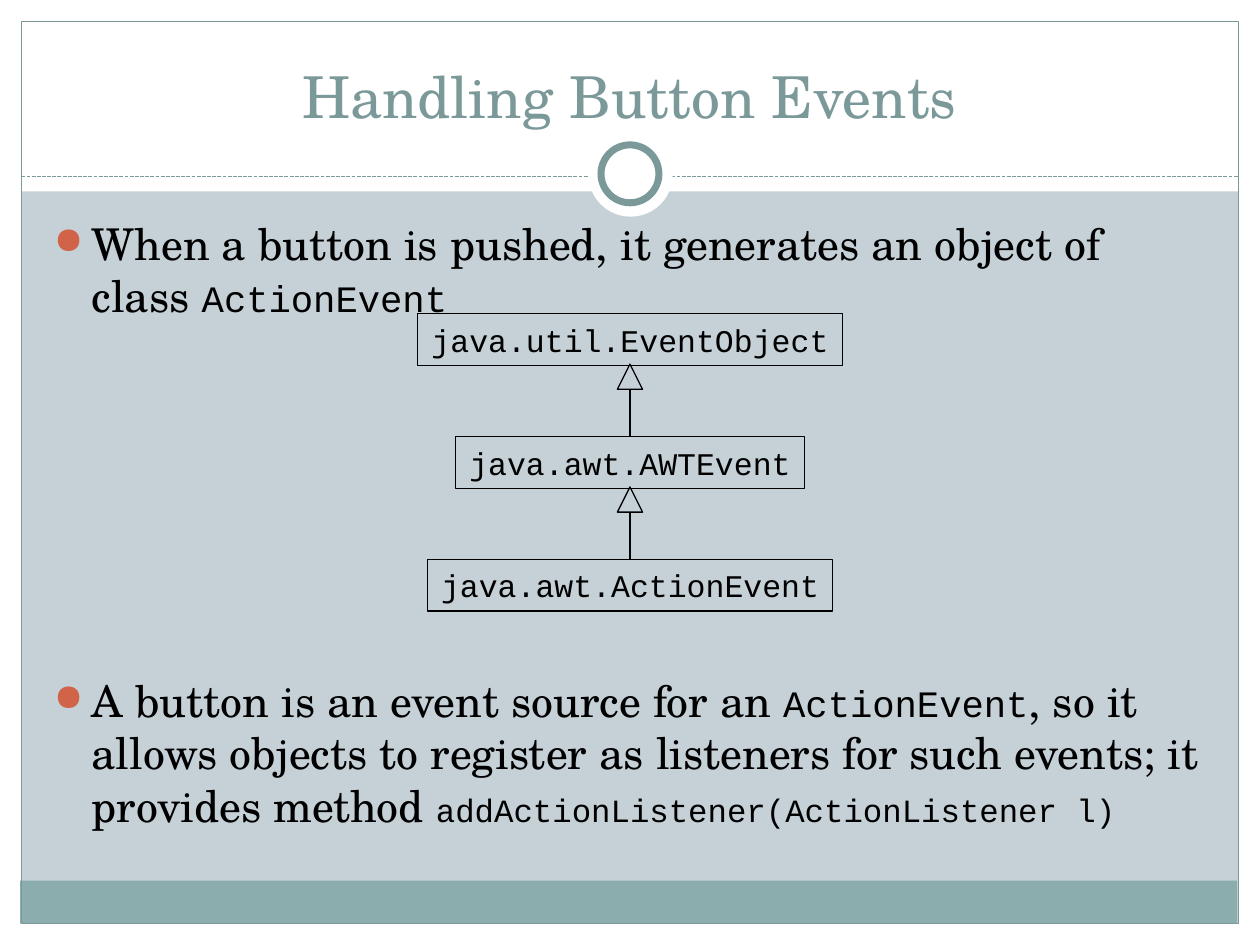
from lxml import etree
from pptx import Presentation
from pptx.dml.color import RGBColor
from pptx.enum import dml, shapes, text
from pptx.oxml.ns import qn
from pptx.util import Inches, Pt

WHITE = RGBColor(0xFF, 0xFF, 0xFF)
BLACK = RGBColor(0, 0, 0)
MIST = RGBColor(0xC5, 0xD1, 0xD7)
TEAL = RGBColor(0x8C, 0xAD, 0xAE)
SLATE = RGBColor(0x7C, 0x99, 0x9A)
RUST = "D16349"
SERIF, MONO = "TeX Gyre Schola", "Courier New"
KIND = shapes.MSO_SHAPE


def add_run(paragraph, words, size=25, font=SERIF, color=BLACK):
    run = paragraph.add_run()
    run.text = words
    run.font.size, run.font.name = Pt(size), font
    run.font.color.rgb = color


class Canvas:
    """Holds the line style and the slide being drawn."""
    line_width = 0.75

    def __init__(self, slide):
        self.slide = slide

    def shape(self, box, kind=KIND.RECTANGLE, fill=None, line=None, width=line_width):
        shape = self.slide.shapes.add_shape(kind, *map(Inches, box))
        shape.shadow.inherit = False
        if fill is None:
            shape.fill.background()
        else:
            shape.fill.solid()
            shape.fill.fore_color.rgb = fill
        if line is None:
            shape.line.fill.background()
        else:
            shape.line.color.rgb = line
            shape.line.width = Pt(width)
        return shape

    def line(self, start, end, color=BLACK, dash=None):
        line = self.slide.shapes.add_connector(
            shapes.MSO_CONNECTOR.STRAIGHT, *map(Inches, (*start, *end)))
        line.line.color.rgb = color
        line.line.width = Pt(self.line_width)
        if dash:
            line.line.dash_style = dash
        etree.SubElement(line._element.spPr, qn("a:effectLst"))

    def text_box(self, box, anchor=text.MSO_ANCHOR.TOP):
        frame = self.slide.shapes.add_textbox(*map(Inches, box)).text_frame
        frame.word_wrap = True
        frame.vertical_anchor = anchor
        return frame

    def class_box(self, name, top, width, height):
        box = self.shape((5 - width / 2, top, width, height), line=BLACK)
        frame = box.text_frame
        frame.word_wrap = False
        frame.vertical_anchor = text.MSO_ANCHOR.MIDDLE
        frame.paragraphs[0].alignment = text.PP_ALIGN.CENTER
        add_run(frame.paragraphs[0], name, size=18, font=MONO)

    def inherits(self, parent_bottom, child_top, head=0.2):
        self.shape((5 - head / 2, parent_bottom, head, head),
                   KIND.ISOSCELES_TRIANGLE, line=BLACK)
        self.line((5, parent_bottom + head), (5, child_top))


def add_bullet(paragraph, indent=0.3):
    props = paragraph._p.get_or_add_pPr()
    props.set("marL", str(Inches(indent)))
    props.set("indent", str(Inches(-indent)))
    color = etree.SubElement(props, qn("a:buClr"))
    etree.SubElement(color, qn("a:srgbClr"), val=RUST)
    etree.SubElement(props, qn("a:buSzPct"), val="85000")
    etree.SubElement(props, qn("a:buChar"), char="●")


deck = Presentation()
deck.slide_width, deck.slide_height = Inches(10), Inches(7.5)
slide = deck.slides.add_slide(deck.slide_layouts[6])
slide.background.fill.solid()
slide.background.fill.fore_color.rgb = MIST
canvas = Canvas(slide)

# White margins, footer band and frame
for margin in ((0, 7.33, 10, 0.17), (0, 0, 10, 1.52),
               (0, 0, 0.17, 7.5), (9.83, 0, 0.17, 7.5)):
    canvas.shape(margin, fill=WHITE)
canvas.shape((0.16, 6.99, 9.66, 0.34), fill=TEAL)
canvas.shape((0.17, 0.17, 9.66, 7.16), line=SLATE)

# Dashed divider with ring
canvas.line((0.17, 1.4), (9.83, 1.4), SLATE, dml.MSO_LINE.SQUARE_DOT)
canvas.shape((4.67, 1.05, 0.67, 0.67), KIND.OVAL, fill=WHITE)
canvas.shape((4.77, 1.15, 0.46, 0.46), KIND.OVAL, fill=WHITE, line=SLATE, width=4)

# Title
title = canvas.text_box((0.33, 0.25, 9.33, 0.83), text.MSO_ANCHOR.BOTTOM).paragraphs[0]
title.alignment = text.PP_ALIGN.CENTER
add_run(title, "Handling Button Events", size=33, color=SLATE)

# Bullets, spaced apart to leave room for the diagram
body = canvas.text_box((0.33, 1.67, 9.3, 5))
pushed, source = body.paragraphs[0], body.add_paragraph()
source.space_before = Pt(201)
for bullet in (pushed, source):
    add_bullet(bullet)
add_run(pushed, "When a button is pushed, it generates an object of class ")
add_run(pushed, "ActionEvent", size=21.3, font=MONO)
add_run(source, "A button is an event source for an ")
add_run(source, "ActionEvent", size=21.3, font=MONO)
add_run(source, ", so it allows objects to register as listeners for such events; "
                "it provides method ")
add_run(source, "addActionListener(ActionListener l)", size=18.5, font=MONO)

# Class hierarchy
TOP, STEP, HEIGHT = 2.49, 0.975, 0.41
hierarchy = (("java.util.EventObject", 3.37), ("java.awt.AWTEvent", 2.77),
             ("java.awt.ActionEvent", 3.22))
for level, (name, width) in enumerate(hierarchy):
    top = TOP + level * STEP
    canvas.class_box(name, top, width, HEIGHT)
    if level:
        canvas.inherits(top - STEP + HEIGHT - 0.01, top)

deck.save("out.pptx")
